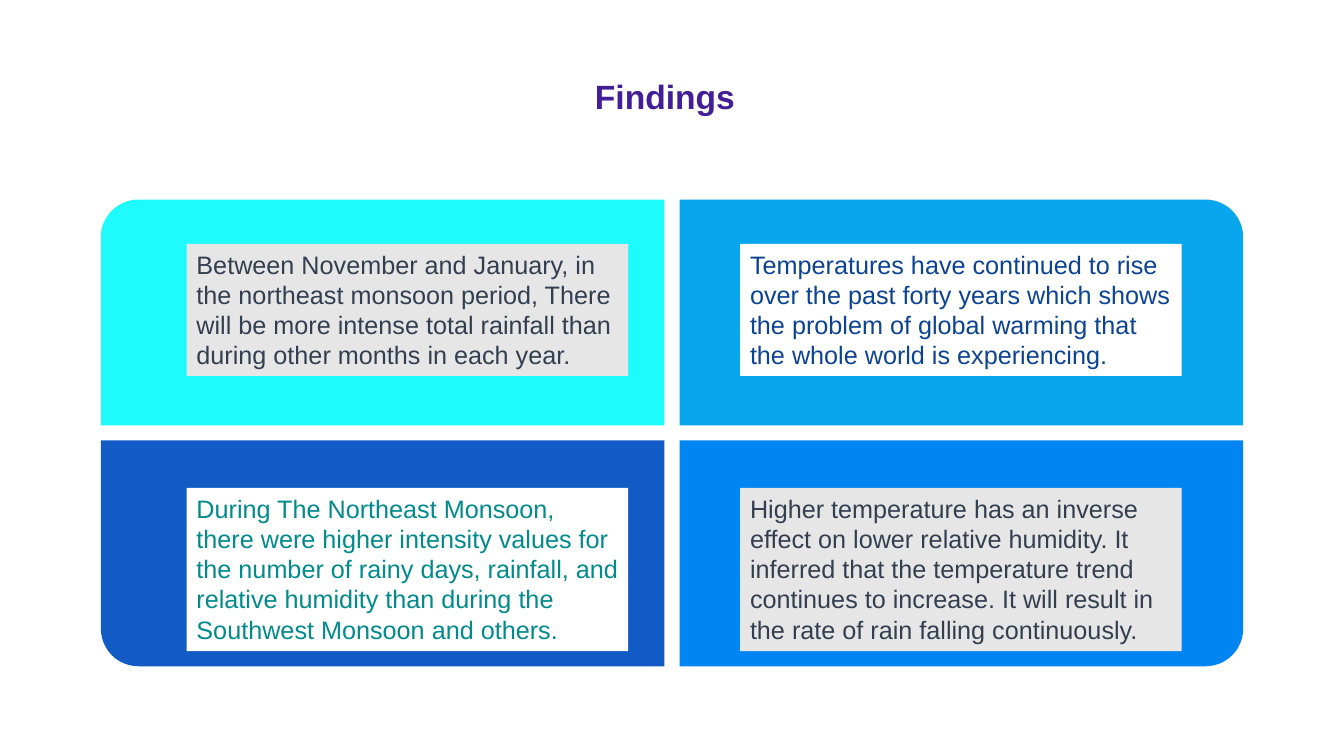
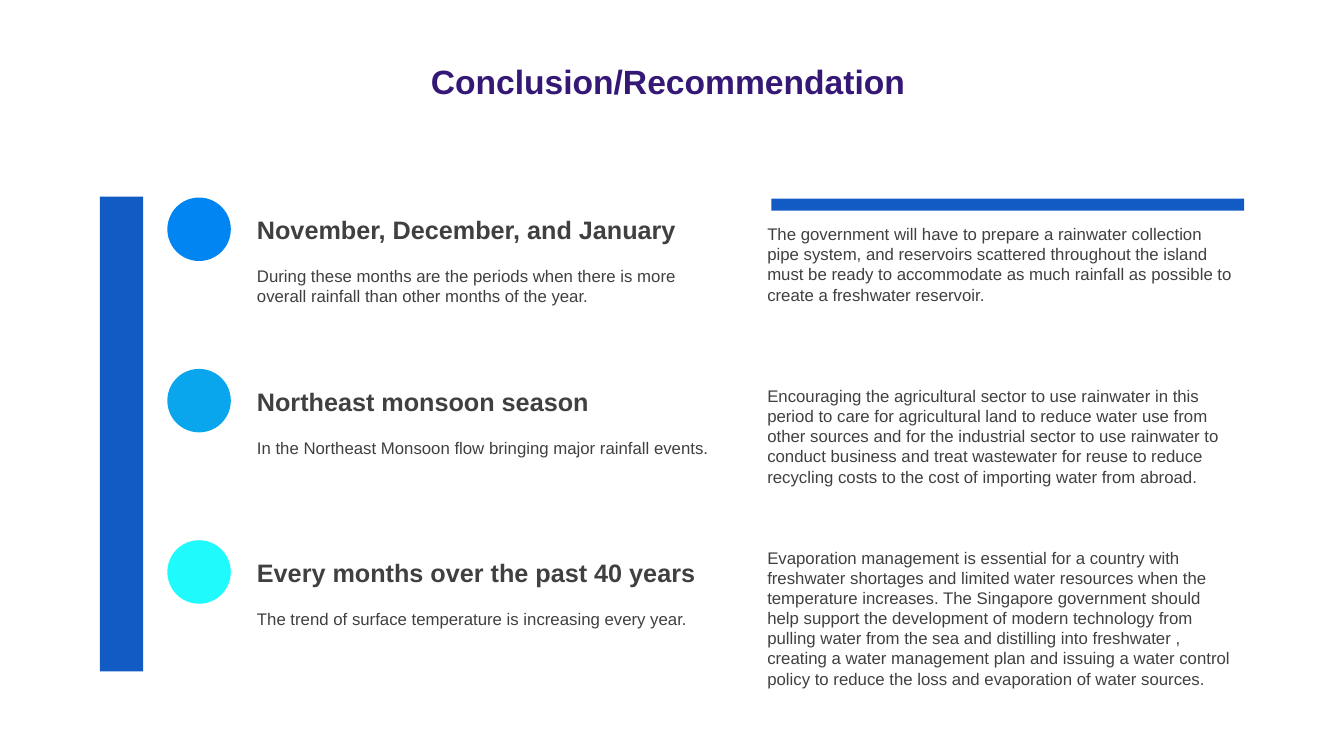
from pptx import Presentation
from pptx.dml.color import RGBColor
from pptx.enum.shapes import MSO_SHAPE
from pptx.enum.text import MSO_ANCHOR, MSO_AUTO_SIZE, PP_ALIGN
from pptx.oxml.xmlchemy import OxmlElement
from pptx.util import Inches, Pt

WIDTH, HEIGHT = 13.33, 7.5
FONT = "Arial"
CYAN, SKY, AZURE, COBALT = "1FFBFD", "0AA6ED", "0085F2", "125AC4"
GRAY, WHITE, SLATE, TEAL, NAVY, CHARCOAL = "E7E6E6", "FFFFFF", "333F50", "018B8D", "0D4393", "404040"
TITLE_ONLY, TITLE_AND_CONTENT = 5, 1

FINDINGS = [
    ("Between November and January, in the northeast monsoon period, There will be more intense "
     "total rainfall than during other months in each year.", CYAN, GRAY, SLATE, 1.31),
    ("Temperatures have continued to rise over the past forty years which shows the problem of "
     "global warming that the whole world is experiencing.", SKY, WHITE, NAVY, 1.31),
    ("During The Northeast Monsoon, there were higher intensity values for the number of rainy "
     "days, rainfall, and relative humidity than during the Southwest Monsoon and others.",
     COBALT, WHITE, TEAL, 1.62),
    ("Higher temperature has an inverse effect on lower relative humidity. It inferred that the "
     "temperature trend continues to increase. It will result in the rate of rain falling "
     "continuously.", AZURE, GRAY, SLATE, 1.62),
]

CONCLUSIONS = [
    ("November, December, and January",
     "During these months are the periods when there is more overall rainfall than other months "
     "of the year.", AZURE),
    ("Northeast monsoon season",
     "In the Northeast Monsoon flow bringing major rainfall events.", SKY),
    ("Every months over the past 40 years",
     "The trend of surface temperature is increasing every year.", CYAN),
]

RECOMMENDATIONS = [
    ("The government will have to prepare a rainwater collection pipe system, and reservoirs "
     "scattered throughout the island must be ready to accommodate as much rainfall as possible "
     "to create a freshwater reservoir.", 0),
    ("Encouraging the agricultural sector to use rainwater in this period to care for "
     "agricultural land to reduce water use from other sources and for the industrial sector to "
     "use rainwater to conduct business and treat wastewater for reuse to reduce recycling costs "
     "to the cost of importing water from abroad.", 58),
    ("Evaporation management is essential for a country with freshwater shortages and limited "
     "water resources when the temperature increases. The Singapore government should help "
     "support the development of modern technology from pulling water from the sea and "
     "distilling into freshwater , creating a water management plan and issuing a water control "
     "policy to reduce the loss and evaporation of water sources.", 43.5),
]


def color(value):
    return RGBColor.from_string(value)


def place(shape, box):
    shape.left, shape.top, shape.width, shape.height = [Inches(length) for length in box]


def add_block(slide, kind, box, fill):
    shape = slide.shapes.add_shape(kind, *[Inches(length) for length in box])
    shape.shadow.inherit = False
    shape.fill.solid()
    shape.fill.fore_color.rgb = color(fill)
    shape.line.fill.background()
    return shape


def write(shape, paragraphs, size, ink, bold=False, align=PP_ALIGN.LEFT, anchor=MSO_ANCHOR.TOP):
    frame = shape.text_frame
    frame.word_wrap = True
    frame.auto_size = MSO_AUTO_SIZE.NONE
    frame.vertical_anchor = anchor
    for index, (text, space_before) in enumerate(paragraphs):
        paragraph = frame.paragraphs[0] if index == 0 else frame.add_paragraph()
        properties = paragraph._p.get_or_add_pPr()
        properties.set("marL", "0")
        properties.set("indent", "0")
        properties.append(OxmlElement("a:buNone"))
        paragraph.alignment = align
        paragraph.line_spacing = Pt(size * 1.2)
        paragraph.space_before = Pt(space_before)
        run = paragraph.add_run()
        run.text = text
        run.font.name, run.font.size, run.font.bold = FONT, Pt(size), bold
        run.font.color.rgb = color(ink)


def add_text(slide, box, text, size, ink, **style):
    shape = slide.shapes.add_textbox(*[Inches(length) for length in box])
    write(shape, [(text, 0)], size, ink, **style)


def add_slide(presentation, layout, title, box, ink):
    slide = presentation.slides.add_slide(presentation.slide_layouts[layout])
    place(slide.shapes.title, box)
    write(slide.shapes.title, [(title, 0)], 24, ink, bold=True,
          align=PP_ALIGN.CENTER, anchor=MSO_ANCHOR.MIDDLE)
    return slide


def build_findings(presentation):
    slide = add_slide(presentation, TITLE_ONLY, "Findings", (4.37, 0.7, 4.45, 0.5), "431E96")
    panel_width, panel_height, gap = 5.59, 2.24, 0.15
    for index, (text, panel_fill, card_fill, ink, card_height) in enumerate(FINDINGS):
        row, column = divmod(index, 2)
        left = 1 + column * (panel_width + gap)
        top = 1.98 + row * (panel_height + gap)
        panel = add_block(slide, MSO_SHAPE.ROUND_1_RECTANGLE,
                          (left, top, panel_width, panel_height), panel_fill)
        panel.rotation = 180 * row
        if row == column:
            panel._element.spPr.xfrm.set("flipH", "1")
        card = add_block(slide, MSO_SHAPE.RECTANGLE,
                         (1.85 + column * 5.49, 2.42 + row * 2.42, 4.38, card_height), card_fill)
        write(card, [(text, 0)], 18, ink)


def build_conclusion(presentation):
    slide = add_slide(presentation, TITLE_AND_CONTENT, "Conclusion/Recommendation",
                      (0.92, 0.55, 11.41, 0.5), "351876")
    add_block(slide, MSO_SHAPE.RECTANGLE, (0.99, 1.95, 0.43, 4.71), COBALT)
    add_block(slide, MSO_SHAPE.RECTANGLE, (7.65, 1.97, 4.69, 0.12), COBALT)
    for index, (heading, detail, fill) in enumerate(CONCLUSIONS):
        top = 1.96 + index * 1.7
        add_block(slide, MSO_SHAPE.OVAL, (1.66, top, 0.63, 0.63), fill)
        add_text(slide, (2.45, top + 0.12, 4.69, 0.4), heading, 18, CHARCOAL,
                 bold=True, anchor=MSO_ANCHOR.MIDDLE)
        add_text(slide, (2.45, top + 0.63, 4.69, 0.5), detail, 12, CHARCOAL)
    body = slide.placeholders[1]
    place(body, (7.51, 2.17, 4.82, 4.75))
    write(body, RECOMMENDATIONS, 12, CHARCOAL)


def main():
    presentation = Presentation()
    presentation.slide_width, presentation.slide_height = Inches(WIDTH), Inches(HEIGHT)
    build_findings(presentation)
    build_conclusion(presentation)
    presentation.save("out.pptx")


if __name__ == "__main__":
    main()
